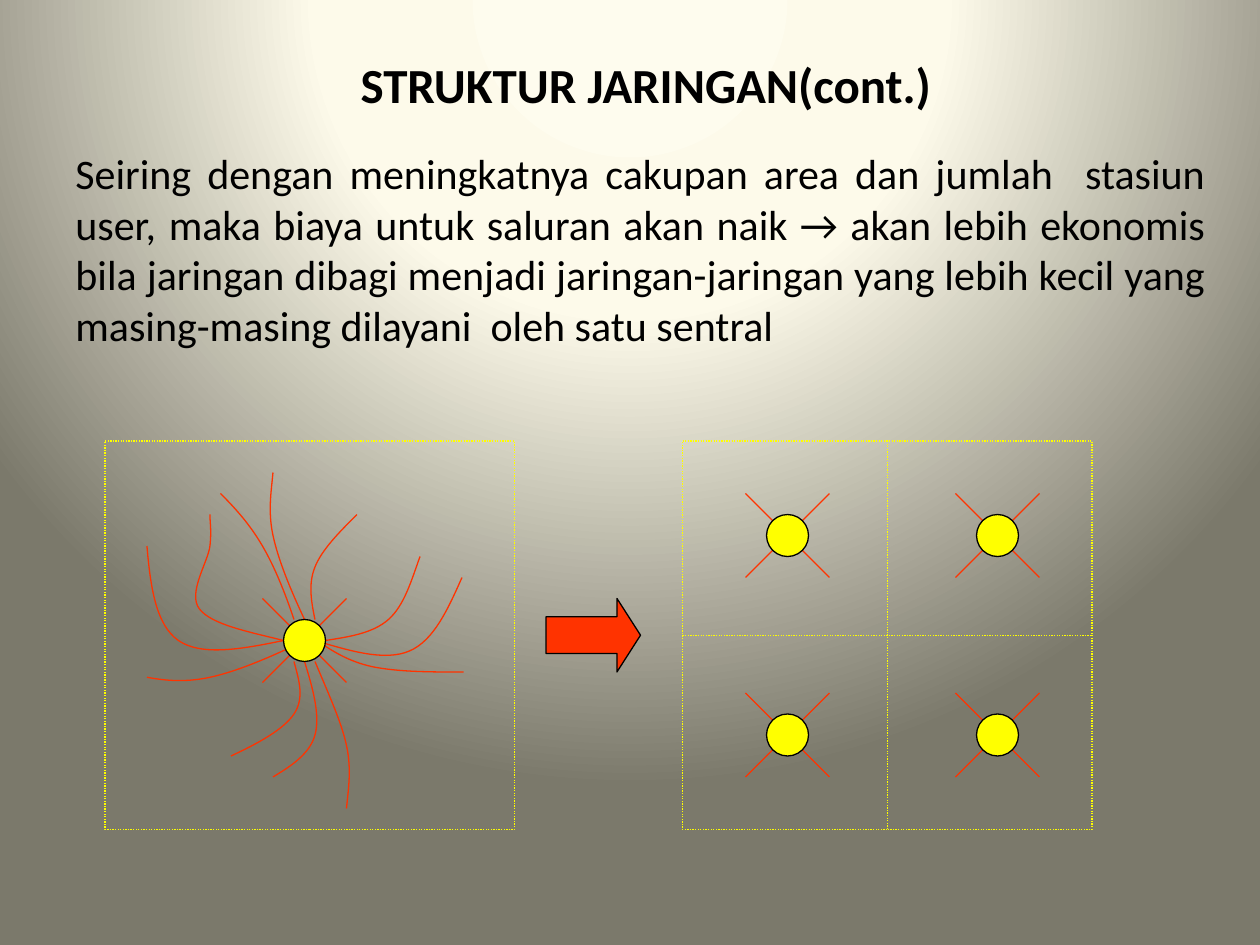
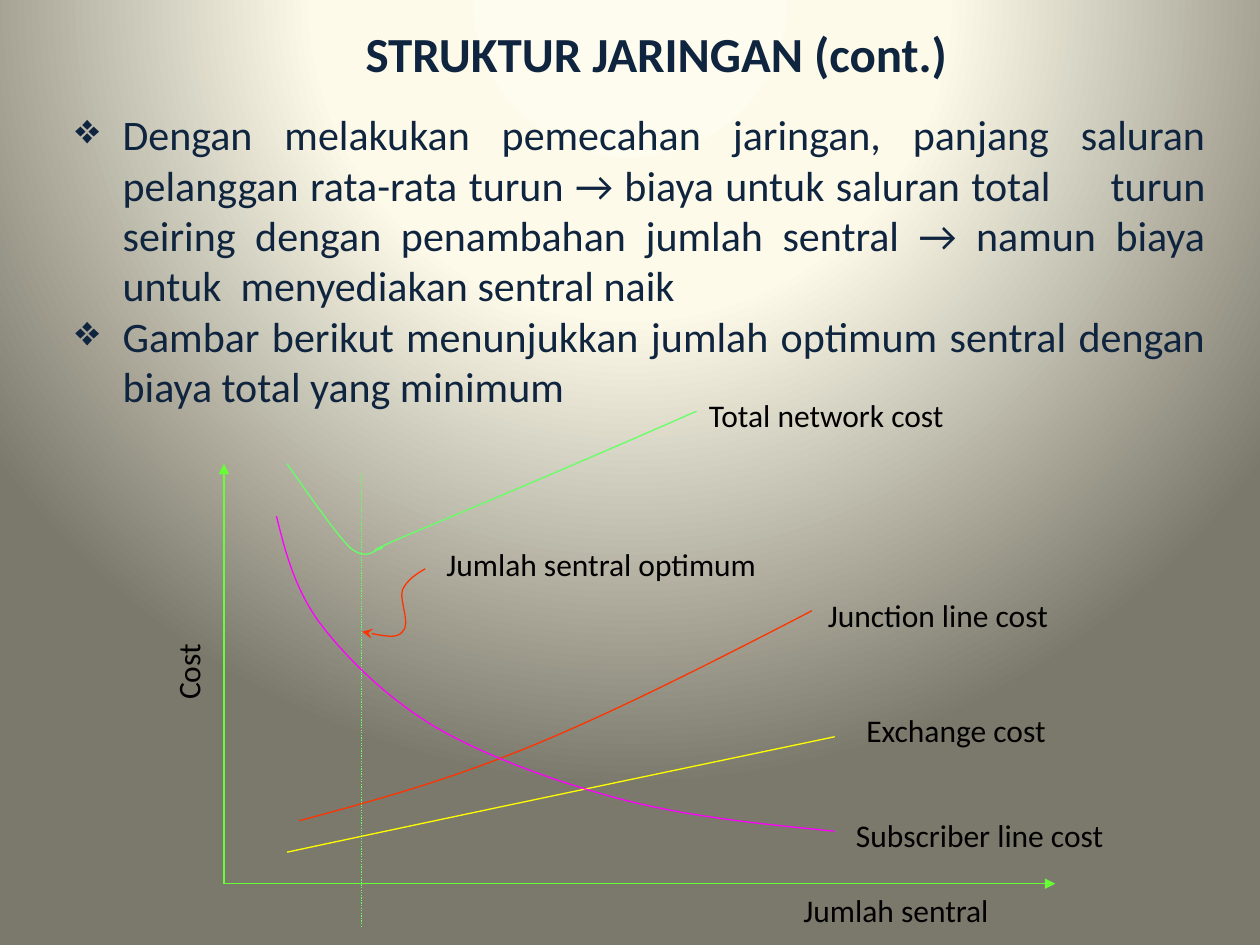
import pptx
import pptx.dml.color
import pptx.enum.dml
import pptx.enum.shapes
import pptx.enum.text
import pptx.oxml
import pptx.oxml.ns
import pptx.util
from lxml import etree

Pt = pptx.util.Pt
qn = pptx.oxml.ns.qn
Shape = pptx.enum.shapes.MSO_SHAPE
Align = pptx.enum.text.PP_ALIGN

COLORS = {
    "black": "000000", "navy": "0F243E", "red": "FF3300", "yellow": "FFFF00",
    "green": "66FF33", "mint": "66FF66", "pink": "FF00FF",
}
GLOW = ((0, "FEFCEE"), (40, "FDFAEA"), (100, "7B796B"))

# Each curve: a start point, then three points for every Bezier segment.
LOOPS = [
    [(180, 366), (200, 372), (220, 378), (234, 372), (248, 366), (256, 348), (264, 330)],
    [(168, 369), (151, 377), (134, 384), (120, 387), (106, 390), (95, 389), (84, 387)],
    [(265, 384), (246, 384), (228, 384), (213, 381), (199, 378), (190, 372), (181, 366)],
    [(174, 354), (166, 337), (159, 320), (156, 306), (153, 292), (155, 281), (156, 270)],
    [(180, 378), (187, 395), (195, 412), (198, 426), (201, 440), (199, 451), (198, 462)],
    [(162, 366), (138, 371), (115, 375), (102, 366), (89, 357), (86, 335), (84, 312)],
    [(174, 378), (179, 394), (183, 409), (180, 420), (177, 431), (166, 438), (156, 444)],
    [(180, 354), (178, 344), (176, 334), (180, 324), (184, 314), (194, 304), (204, 294)],
    [(168, 378), (171, 389), (174, 399), (168, 408), (162, 417), (147, 425), (132, 432)],
    [(186, 366), (199, 364), (213, 362), (222, 354), (231, 346), (235, 332), (240, 318)],
    [(162, 366), (142, 361), (121, 357), (114, 348), (107, 339), (119, 321), (120, 312),
     (121, 303), (120, 299), (120, 294)],
    [(168, 354), (163, 339), (157, 324), (150, 312), (143, 300), (135, 291), (126, 282)],
]
COSTS = [
    ("red", [(171, 469), (212, 458), (253, 447), (302, 427),
             (351, 407), (408, 378), (464, 349)]),
    ("yellow", [(164, 487), (295, 459), (425, 432), (477, 421)]),
    ("pink", [(158, 295), (163, 315), (168, 335), (182, 355), (197, 375), (220, 398),
              (248, 415), (277, 432), (318, 447), (356, 457), (395, 467), (436, 471),
              (477, 475)]),
    ("mint", [(164, 265), (178, 285), (192, 305), (200, 313), (210, 321), (214, 314),
              (218, 313), (223, 312), (200, 320), (230, 307), (261, 294), (330, 265),
              (398, 235)]),
]
POINTER = [(243, 325), (238, 328), (233, 331), (230, 337), (228, 343), (235, 357),
           (230, 361), (227, 365), (217, 363), (207, 361)]
LABELS = [
    ("Total network cost", 398, 223, 161, 0),
    ("Junction line cost", 466, 337, 152, 0),
    ("Exchange cost", 488, 403, 133, 0),
    ("Subscriber line cost", 482, 463, 171, 0),
    ("Cost", 81.5, 366.5, 52, 270),
    ("Jumlah sentral", 452, 505.5, 132, 0),
    ("Jumlah sentral optimum", 248, 308, 205, 0),
]


class Deck:
    def __init__(self):
        self.prs = pptx.Presentation()
        self.prs.slide_width, self.prs.slide_height = Pt(720), Pt(540)
        self.slide = None

    def page(self):
        """Start a blank slide with the round glow behind it."""
        self.slide = self.prs.slides.add_slide(self.prs.slide_layouts[6])
        self.slide.background.fill.gradient()
        grad = next(self.slide.element.iter(qn("a:gradFill")))
        for child in list(grad):
            grad.remove(child)
        stops = etree.SubElement(grad, qn("a:gsLst"))
        for pos, tone in GLOW:
            stop = etree.SubElement(stops, qn("a:gs"), pos=str(pos * 1000))
            etree.SubElement(stop, qn("a:srgbClr"), val=tone)
        ring = etree.SubElement(grad, qn("a:path"), {"path": "circle"})
        etree.SubElement(ring, qn("a:fillToRect"), l="50000", t="-80000",
                         r="50000", b="180000")

    def paint(self, fmt, name):
        fmt.rgb = pptx.dml.color.RGBColor.from_string(COLORS[name])

    def pen(self, item, color, dots=False, tail=None):
        item.line.width = Pt(0.75)
        item.line.fill.solid()
        self.paint(item.line.fill.fore_color, color)
        if dots:
            item.line.dash_style = pptx.enum.dml.MSO_LINE.ROUND_DOT
        if tail:
            etree.SubElement(item.element.spPr.find(qn("a:ln")), qn("a:tailEnd"), type=tail)

    def line(self, start, end, color, dots=False, tail=None):
        kind = pptx.enum.shapes.MSO_CONNECTOR.STRAIGHT
        item = self.slide.shapes.add_connector(kind, *map(Pt, start + end))
        self.pen(item, color, dots, tail)
        etree.SubElement(item.element.spPr, qn("a:effectLst"))

    def shape(self, kind, box, fill, line, dots=False):
        item = self.slide.shapes.add_shape(kind, *map(Pt, box))
        item.shadow.inherit = False
        if fill:
            item.fill.solid()
            self.paint(item.fill.fore_color, fill)
        else:
            item.fill.background()
        self.pen(item, line, dots)
        return item

    def curve(self, points, color, tail=None):
        """Draw the points as an outline, then join each three lines into a Bezier."""
        form = self.slide.shapes.build_freeform(*points[0], scale=Pt(1))
        form.add_line_segments(points[1:], close=False)
        item = form.convert_to_shape()
        item.shadow.inherit = False
        item.fill.background()
        self.pen(item, color, tail=tail)
        steps = list(item.element.iter(qn("a:lnTo")))
        for i in range(0, len(steps), 3):
            bend = etree.Element(qn("a:cubicBezTo"))
            steps[i].addprevious(bend)
            for step in steps[i:i + 3]:
                bend.append(step[0])
                step.getparent().remove(step)

    def text(self, lines, box, size, color, align=Align.LEFT, bold=False, wrap=True):
        item = self.slide.shapes.add_textbox(*map(Pt, box))
        frame = item.text_frame
        frame.word_wrap = wrap
        frame.text = "\n".join(lines)
        for para in frame.paragraphs:
            para.alignment = align
            for run in para.runs:
                run.font.name, run.font.size, run.font.bold = "Calibri", Pt(size), bold
                self.paint(run.font.color, color)
        return item

    def title(self, words, left, top, color):
        item = self.text([words], (left, top, 450, 60), 28, color, Align.CENTER, True)
        item.text_frame.vertical_anchor = pptx.enum.text.MSO_ANCHOR.MIDDLE

    def body(self, lines, top, height, color, bullet=None):
        item = self.text(lines, (36, top, 660, height), 24, color, Align.JUSTIFY)
        if bullet:
            for para in item.text_frame.paragraphs:
                props = para._p.get_or_add_pPr()
                props.set("marL", str(Pt(27)))
                props.set("indent", str(Pt(-27)))
                etree.SubElement(props, qn("a:buChar"), char=bullet)

    def label(self, words, left, top, width, turn):
        item = self.text([words], (left, top, width, 29), 18, "black", wrap=False)
        item.text_frame.auto_size = pptx.enum.text.MSO_AUTO_SIZE.SHAPE_TO_FIT_TEXT
        item.rotation = turn

    def node(self, x, y):
        """An exchange: a disc over two crossed lines."""
        for rise in (24, -24):
            self.line((x - 24, y - rise), (x + 24, y + rise), "red")
        self.shape(Shape.OVAL, (x - 12, y - 12, 24, 24), "yellow", "black")


def split(deck):
    """One large network becomes four small ones."""
    deck.page()
    deck.body(["Seiring dengan meningkatnya cakupan area dan jumlah  stasiun user, maka "
               "biaya untuk saluran akan naik → akan lebih ekonomis bila jaringan dibagi "
               "menjadi jaringan-jaringan yang lebih kecil yang masing-masing dilayani  "
               "oleh satu sentral"], 81, 124, "black")
    deck.title("STRUKTUR JARINGAN(cont.)", 144, 18, "black")
    for left in (60, 390):
        deck.shape(Shape.RECTANGLE, (left, 252, 234, 222), None, "yellow", True)
    for loop in LOOPS:
        deck.curve(loop, "red")
    deck.node(174, 366)
    deck.line((507, 252), (507, 474), "yellow", True)
    deck.line((390, 363), (624, 363), "yellow", True)
    for y in (306, 420):
        for x in (450, 570):
            deck.node(x, y)
    arrow = deck.shape(Shape.RIGHT_ARROW, (312, 342, 54, 42), "red", "black")
    arrow.adjustments[1] = 0.32


def costs(deck):
    deck.page()
    deck.body(["Dengan melakukan pemecahan jaringan, panjang saluran pelanggan rata-rata "
               "turun → biaya untuk saluran total \t turun seiring dengan penambahan "
               "jumlah sentral → namun biaya untuk  menyediakan sentral naik",
               "Gambar berikut menunjukkan jumlah optimum sentral dengan biaya total "
               "yang minimum"], 58.5, 181, "navy", "❖")
    for end in ((128, 265), (603, 505)):
        deck.line((128, 505), end, "green", tail="triangle")
    deck.line((206.5, 271), (206.5, 529), "mint", True)
    for color, points in COSTS:
        deck.curve(points, color)
    for label in LABELS:
        deck.label(*label)
    deck.curve(POINTER, "red", tail="stealth")
    deck.title("STRUKTUR JARINGAN (cont.)", 150, 0, "navy")


def main():
    deck = Deck()
    split(deck)
    costs(deck)
    deck.prs.save("out.pptx")


if __name__ == "__main__":
    main()
